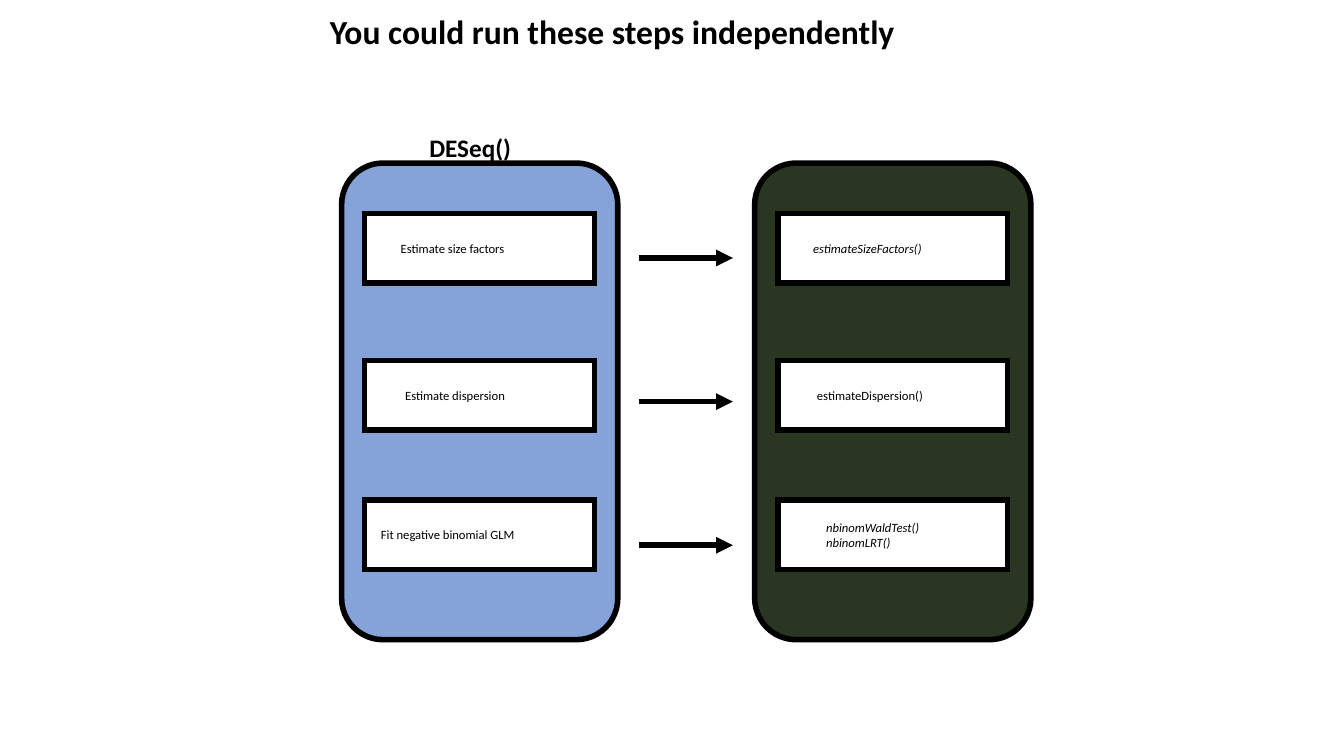
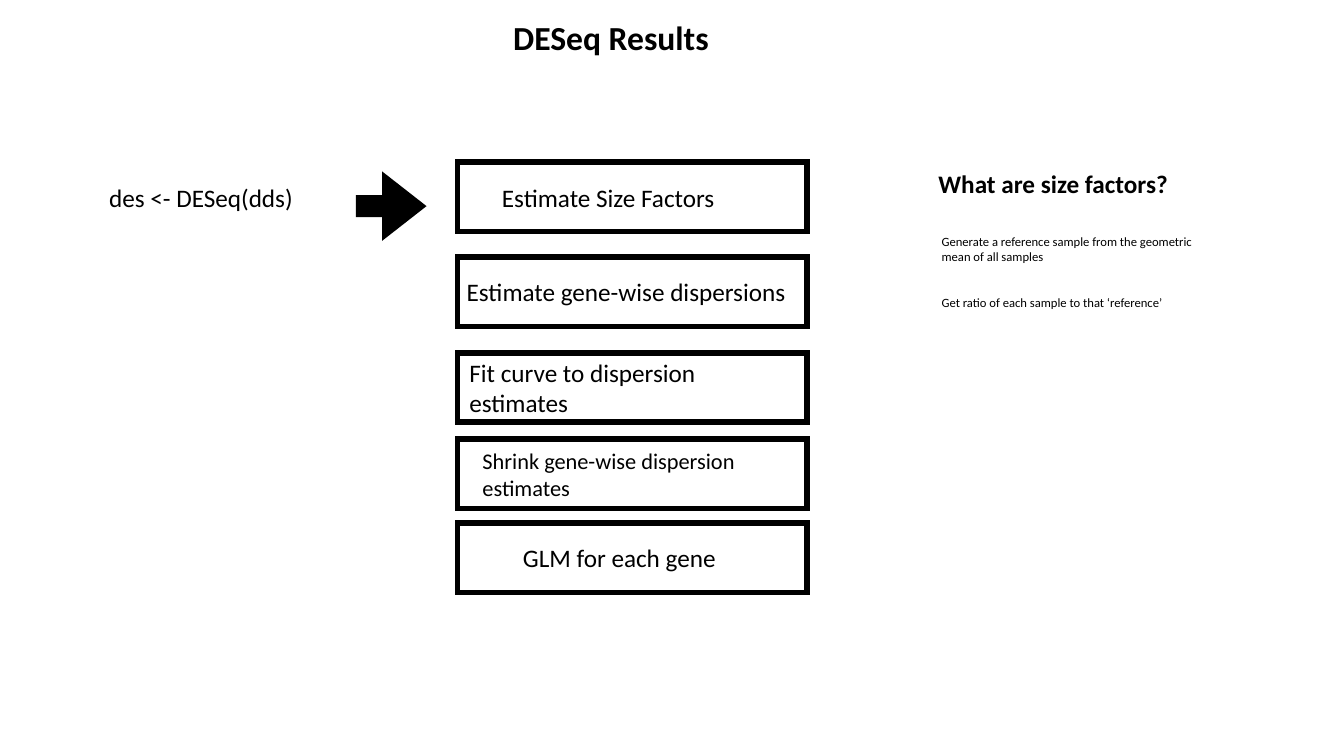
import pptx
import pptx.util
import pptx.dml.color
import pptx.enum.shapes
import pptx.enum.text
import pptx.oxml
import pptx.oxml.ns

Cm = pptx.util.Cm
Pt = pptx.util.Pt
RGB = pptx.dml.color.RGBColor
Shape = pptx.enum.shapes.MSO_SHAPE
Text = pptx.enum.text

BLACK = RGB(0x00, 0x00, 0x00)
WHITE = RGB(0xFF, 0xFF, 0xFF)
BLUE = RGB(0x85, 0xA3, 0xD9)
GREEN = RGB(0x29, 0x36, 0x21)

NS = pptx.oxml.ns.nsdecls("a")
PAD = 0.08


class Deck:
    face = "Calibri"
    stroke = Pt(4)

    def __init__(self):
        self.prs = pptx.Presentation()
        self.prs.slide_width = Cm(33.87)
        self.prs.slide_height = Cm(19.05)
        self.slide = None

    def start(self, layout, title, *area):
        self.slide = self.prs.slides.add_slide(self.prs.slide_layouts[layout])
        head = self.slide.shapes.title
        self.place(head, area)
        self.letter(head, title, 24, bold=True)

    def place(self, item, area):
        for name, value in zip(("left", "top", "width", "height"), area):
            setattr(item, name, Cm(value))

    def letter(self, item, text, size, inset=PAD, right=PAD, wrap=False,
               gap=0, top=False, **style):
        frame = item.text_frame
        form = {
            "margin_left": Cm(inset),
            "margin_right": Cm(right),
            "margin_top": Cm(PAD),
            "margin_bottom": Cm(PAD),
            "word_wrap": wrap,
            "auto_size": Text.MSO_AUTO_SIZE.NONE,
            "vertical_anchor": Text.MSO_ANCHOR.TOP if top else Text.MSO_ANCHOR.MIDDLE,
        }
        for name, value in form.items():
            setattr(frame, name, value)
        frame.text = text
        font = {"name": self.face, "size": Pt(size), "bold": False, "italic": False, **style}
        for rank, para in enumerate(frame.paragraphs):
            para.alignment = Text.PP_ALIGN.LEFT
            para.space_before = Pt(gap if rank else 0)
            for run in para.runs:
                for name, value in font.items():
                    setattr(run.font, name, value)
                run.font.color.rgb = BLACK

    def label(self, text, size, *area, **style):
        box = self.slide.shapes.add_textbox(*map(Cm, area))
        self.letter(box, text, size, **style)

    def points(self, text, size, gap, *area):
        body = self.slide.placeholders[1]
        self.place(body, area)
        self.letter(body, text, size, wrap=True, gap=gap, top=True)
        for para in body.text_frame.paragraphs:
            props = para._p.get_or_add_pPr()
            props.set("marL", "0")
            props.set("indent", "0")
            props.append(pptx.oxml.parse_xml(f"<a:buNone {NS}/>"))

    def shape(self, kind, fill, *area, adjust=(), line=True):
        item = self.slide.shapes.add_shape(kind, *map(Cm, area))
        item.shadow.inherit = False
        for rank, value in enumerate(adjust):
            item.adjustments[rank] = value
        if fill is None:
            item.fill.background()
        else:
            item.fill.solid()
            item.fill.fore_color.rgb = fill
        if line:
            self.ink(item.line)
        else:
            item.line.fill.background()
        return item

    def ink(self, line, *extra):
        line.width = self.stroke
        line.color.rgb = BLACK
        for tag in extra:
            line._get_or_add_ln().append(pptx.oxml.parse_xml(tag))

    def box(self, text, size, fill, *area, **style):
        item = self.shape(Shape.RECTANGLE, fill, *area)
        self.ink(item.line, f'<a:miter {NS} lim="800000"/>')
        self.letter(item, text, size, right=0.33, wrap=True, **style)

    def arrow(self, left, right, level):
        link = self.slide.shapes.add_connector(
            pptx.enum.shapes.MSO_CONNECTOR.STRAIGHT,
            Cm(left), Cm(level), Cm(right), Cm(level))
        self.ink(link.line, f'<a:tailEnd {NS} type="triangle"/>')
        link._element.spPr.append(pptx.oxml.parse_xml(f"<a:effectLst {NS}/>"))


def steps(deck):
    deck.start(5, "You could run these steps independently", 8.23, 0.2, 14.53, 1.17)
    tops = (5.38, 9.09, 12.6)
    panels = (
        (8.61, BLUE, (
            ("Estimate size factors", 0.91, False),
            ("Estimate dispersion", 1.02, False),
            ("Fit negative binomial GLM", 0.41, False))),
        (19.02, GREEN, (
            ("estimateSizeFactors()", 0.89, True),
            ("estimateDispersion()", 0.99, False),
            ("nbinomWaldTest()\nnbinomLRT()", 1.22, True))),
    )
    for left, fill, rows in panels:
        deck.shape(Shape.ROUNDED_RECTANGLE, fill, left, 4.11, 6.96, 12.01, adjust=(0.15,))
        for top, (text, inset, slant) in zip(tops, rows):
            deck.box(text, 9, WHITE, left + 0.58, top, 5.79, 1.75, inset=inset, italic=slant)
    deck.label("DESeq()", 18, 10.74, 3.25, 2.21, 0.91, bold=True)
    for row in range(3):
        deck.arrow(16.1, 18.47, 6.5 + 3.62 * row)


def results(deck):
    deck.start(1, "DESeq Results", 12.85, 0.36, 5.13, 1.17)
    deck.label("des <- DESeq(dds)", 18, 2.67, 4.52, 4.83, 0.91)
    deck.shape(Shape.RIGHT_ARROW, BLACK, 8.97, 4.32, 1.78, 1.75,
               adjust=(0.32, 0.64), line=False)
    rows = (
        ("Estimate Size Factors", 18, 4.09, 1.12),
        ("Estimate gene-wise dispersions", 18, 6.48, 0.23),
        ("Fit curve to dispersion estimates", 18, 8.89, 0.3),
        ("Shrink gene-wise dispersion estimates", 16, 11.07, 0.63),
        ("GLM for each gene", 18, 13.18, 1.65),
    )
    for text, size, top, inset in rows:
        deck.box(text, size, None, 11.53, top, 8.81, 1.75, inset=inset)
    deck.label("What are size factors?", 18, 23.57, 4.17, 5.97, 0.91, bold=True)
    deck.points("Generate a reference sample from the geometric mean of all samples\n"
                "Get ratio of each sample to that ‘reference’",
                9, 22, 23.65, 5.82, 7.14, 2.06)


def main():
    deck = Deck()
    steps(deck)
    results(deck)
    deck.prs.save("out.pptx")


if __name__ == "__main__":
    main()
